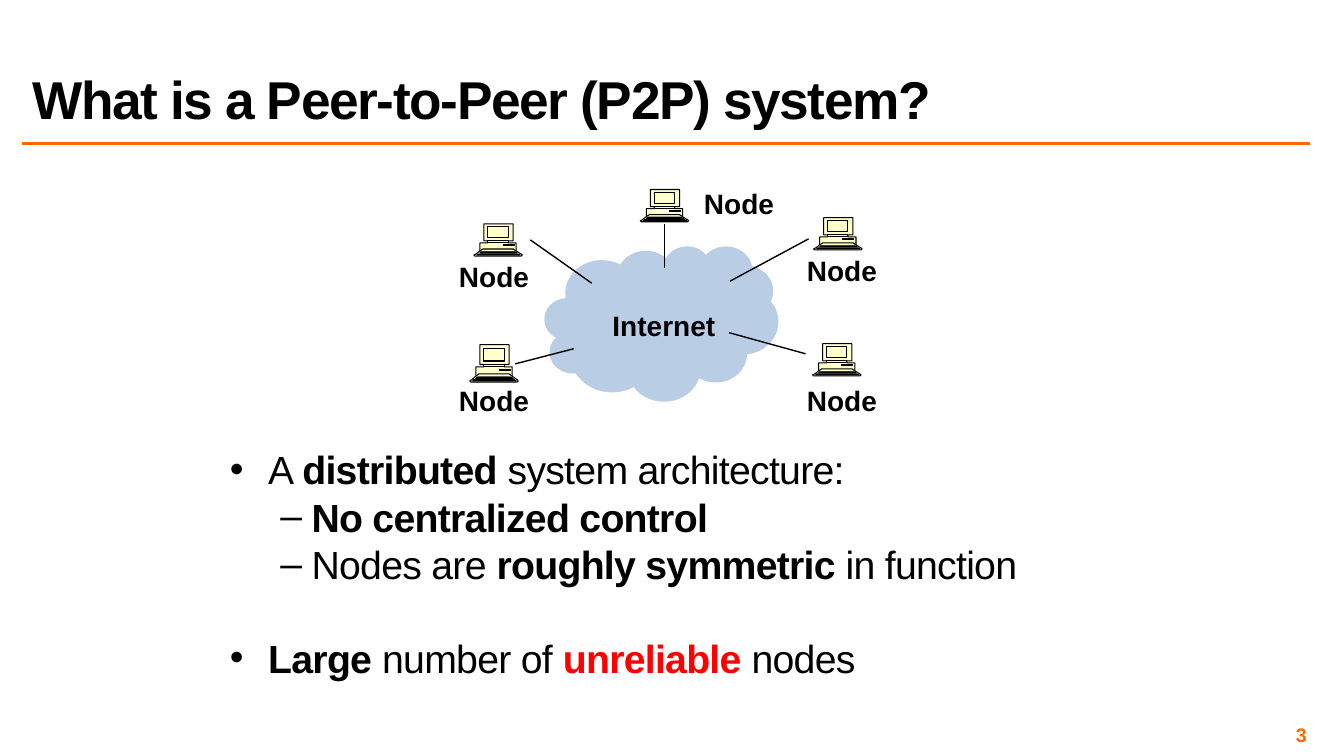
from copy import deepcopy

from lxml import etree
from pptx import Presentation
from pptx.dml.color import RGBColor
from pptx.enum.shapes import MSO_CONNECTOR, MSO_SHAPE
from pptx.enum.text import MSO_ANCHOR, MSO_AUTO_SIZE, PP_ALIGN
from pptx.oxml.ns import qn
from pptx.util import Inches, Pt

LINE = MSO_CONNECTOR.STRAIGHT
CLOUD = MSO_SHAPE.CLOUD
MIDDLE, BOTTOM = MSO_ANCHOR.MIDDLE, MSO_ANCHOR.BOTTOM
LEFT, CENTER, RIGHT = PP_ALIGN.LEFT, PP_ALIGN.CENTER, PP_ALIGN.RIGHT
FIXED = MSO_AUTO_SIZE.NONE

COLORS = {"ink": "000000", "rule": "FF6600", "cloud": "B9CDE5",
          "icon": "FFFFCC", "alert": "FF0000"}
TITLE = {"name": "Arial", "size": Pt(38), "bold": True}
BODY = {"name": "Arial", "size": Pt(28), "bold": False}
STRONG = {**BODY, "bold": True}
LABEL = {"name": "Arial", "size": Pt(20), "bold": True}
PAGE = {"name": "Arial", "size": Pt(14), "bold": True}

CASE = [(47, 30), (42, 27), (42, 19), (34, 19), (34, 17), (39, 17),
        (39, 0), (10, 0), (10, 17), (14, 17), (14, 19), (6, 19),
        (6, 27), (2, 30), (0, 31), (1, 32), (47, 32), (48, 31)]
KEYS = [[(40, 27), (39, 26), (10, 26), (8, 27)],
        [(43, 29), (41, 28), (7, 28), (6, 29)],
        [(46, 31), (44, 30), (4, 30), (3, 31)]]
EDGE = [(42, 27), (39, 25), (9, 25), (6, 27)]
PANES = [[(a, b), (c, b), (c, d), (a, d)] for a, b, c, d in
         [(29, 21, 40, 22), (14, 3, 34, 14), (14, 17, 34, 19)]]

NODES = [
    ((1.9, 0.08, 0.48, 0.32), (2.43, 0), (2.14, 0.86, 2.14, 0.42)),
    ((0.25, 0.42, 0.48, 0.32), (0, 0.73), (1.42, 1.01, 0.81, 0.58)),
    ((0.21, 1.62, 0.48, 0.37), (0, 1.96), (0.66, 1.81, 1.24, 1.66)),
    ((3.61, 1.61, 0.48, 0.32), (3.45, 1.96), (3.54, 1.71, 2.78, 1.5)),
    ((3.62, 0.36, 0.48, 0.32), (3.45, 0.67), (2.79, 0.99, 3.57, 0.57)),
]

POINTS = [
    (0, 0, [("A ", BODY, "ink"), ("distributed", STRONG, "ink"),
            (" system architecture:", BODY, "ink")]),
    (1, 7, [("No centralized control", STRONG, "ink")]),
    (1, 7, [("Nodes are ", BODY, "ink"),
            ("roughly symmetric ", STRONG, "ink"),
            ("in function", BODY, "ink")]),
    (0, 40, [("Large", STRONG, "ink"), (" number of ", BODY, "ink"),
             ("unreliable ", STRONG, "alert"), ("nodes", BODY, "ink")]),
]
BULLETS = [("•", 0.38, -0.38), ("–", 0.81, -0.31)]


def color(name):
    """Return a palette entry as an RGB colour."""
    return RGBColor.from_string(COLORS[name])


def place(shape, box):
    """Move a shape to a box given in inches."""
    for name, size in zip(("left", "top", "width", "height"), box):
        setattr(shape, name, Inches(size))


def add_run(para, text, style, tint, space=0):
    """Add a formatted run with letter spacing in hundredths of a point."""
    run = para.add_run()
    run.text = text
    for name, value in style.items():
        setattr(run.font, name, value)
    run.font.color.rgb = color(tint)
    if space:
        run._r.get_or_add_rPr().set("spc", str(space))


def set_frame(frame, inset):
    """Give a text frame equal insets."""
    for side in ("left", "top", "right", "bottom"):
        setattr(frame, f"margin_{side}", Inches(inset))


def add_line(slide, ends, tint, width):
    """Draw a straight line without a shadow."""
    line = slide.shapes.add_connector(LINE, *map(Inches, ends))
    line.line.color.rgb = color(tint)
    line.line.width = Pt(width)
    etree.SubElement(line._element.spPr, qn("a:effectLst"))


def add_text(slide, box, text, style, tint, align):
    """Place one line of text and return its frame."""
    frame = slide.shapes.add_textbox(*map(Inches, box)).text_frame
    frame.word_wrap = False
    para = frame.paragraphs[0]
    para.alignment = align
    add_run(para, text, style, tint)
    return frame


def add_head(slide, box):
    """Fill the title and draw the rule below it."""
    title = slide.shapes.title
    place(title, box)
    frame = title.text_frame
    frame.auto_size = FIXED
    frame.vertical_anchor = BOTTOM
    para = frame.paragraphs[0]
    para.alignment = LEFT
    para.line_spacing = 0.8
    add_run(para, "What is a Peer-to-Peer (P2P) system?", TITLE, "ink", -100)
    left, top, width, high = box
    rule = top + high + 0.08
    add_line(slide, (left, rule, left + width, rule), "rule", 2)


def add_icon(slide, box):
    """Draw a desktop computer as one outline with several paths."""
    left, top, width, high = map(Inches, box)
    form = slide.shapes.build_freeform(*CASE[0], scale=(width / 48, high / 32))
    form.add_line_segments(CASE[1:])
    for part in [*KEYS, EDGE, *PANES]:
        form.move_to(*part[0])
        form.add_line_segments(part[1:], close=part is not EDGE)
    icon = form.convert_to_shape(left, top)
    icon.shadow.inherit = False
    icon.fill.solid()
    icon.fill.fore_color.rgb = color("icon")
    icon.line.color.rgb = color("ink")
    icon.line.width = Pt(0.75)
    paths = icon._element.spPr.find(".//" + qn("a:pathLst"))
    whole = paths[0]
    for step in list(whole):
        if step.tag == qn("a:moveTo"):
            piece = deepcopy(whole)
            piece[:] = []
            paths.append(piece)
        piece.append(step)
    paths.remove(whole)


def add_net(slide, box):
    """Draw the cloud and the nodes linked to it."""
    left, top = box[:2]
    cloud = slide.shapes.add_shape(
        CLOUD, *map(Inches, (left + 0.95, top + 0.64, 2.32, 1.54)))
    cloud.shadow.inherit = False
    cloud.fill.solid()
    cloud.fill.fore_color.rgb = color("cloud")
    cloud.line.fill.background()
    for (x, y, width, high), (tx, ty), (ax, ay, bx, by) in NODES:
        add_icon(slide, (left + x, top + y, width, high))
        add_line(slide, (left + ax, top + ay, left + bx, top + by), "ink", 1)
        add_text(slide, (left + tx, top + ty, 0.9, 0.44),
                 "Node", LABEL, "ink", CENTER)
    add_text(slide, (left + 1.52, top + 1.21, 1.23, 0.44),
             "Internet", LABEL, "ink", CENTER)


def add_list(slide, box):
    """Fill the body with two levels of points."""
    body = slide.placeholders[1]
    place(body, box)
    frame = body.text_frame
    frame.auto_size = FIXED
    set_frame(frame, 0.04)
    for i, (level, gap, runs) in enumerate(POINTS):
        para = frame.add_paragraph() if i else frame.paragraphs[0]
        para.level = level
        para.line_spacing = 0.8
        para.space_before = Pt(gap)
        mark, margin, indent = BULLETS[level]
        props = para._p.get_or_add_pPr()
        props.set("marL", str(Inches(margin)))
        props.set("indent", str(Inches(indent)))
        etree.SubElement(props, qn("a:buFont")).set("typeface", "Arial")
        etree.SubElement(props, qn("a:buChar")).set("char", mark)
        for text, style, tint in runs:
            add_run(para, text, style, tint, -50)


def add_page(slide, box):
    """Put the page number at the right of its box."""
    frame = add_text(slide, box, "3", PAGE, "rule", RIGHT)
    frame.word_wrap = True
    frame.vertical_anchor = MIDDLE
    set_frame(frame, 0.04)


def main():
    """Build and save the slide."""
    deck = Presentation()
    deck.slide_width, deck.slide_height = Inches(13.33), Inches(7.5)
    slide = deck.slides.add_slide(deck.slide_layouts[1])
    add_head(slide, (0.22, 0.17, 12.77, 1.17))
    add_net(slide, (4.45, 1.8, 4.35, 2.4))
    add_list(slide, (2.24, 4.47, 9.17, 2.62))
    add_page(slide, (9.89, 7.17, 3.11, 0.23))
    deck.save("out.pptx")


if __name__ == "__main__":
    main()
